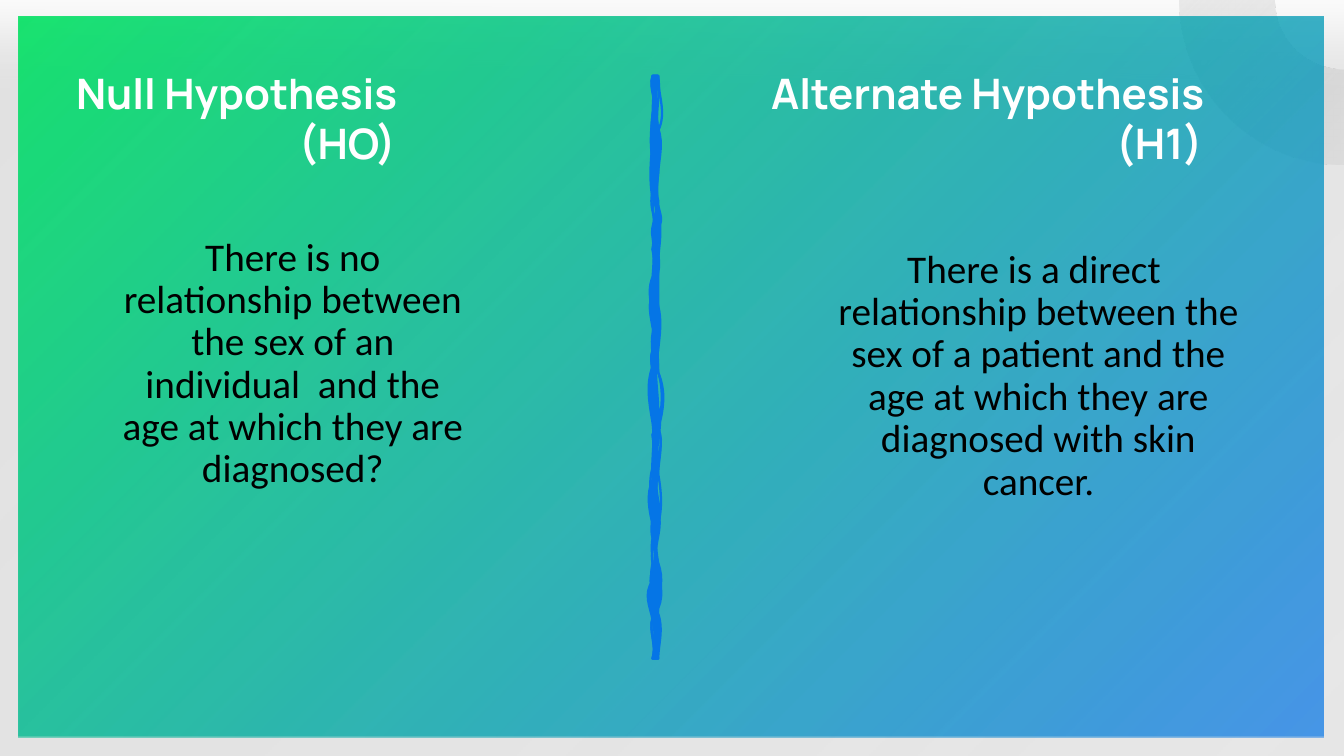
from dataclasses import dataclass

import pptx
import pptx.dml.color
import pptx.enum.shapes
import pptx.enum.text
import pptx.oxml
import pptx.oxml.ns
import pptx.util
from lxml import etree

Inches, Pt = pptx.util.Inches, pptx.util.Pt
qn = pptx.oxml.ns.qn
RGB = pptx.dml.color.RGBColor.from_string
ALIGN = pptx.enum.text.PP_ALIGN
SHAPE = pptx.enum.shapes.MSO_SHAPE

COLORS = {"white": "FFFFFF", "black": "000000", "grey": "BFBFBF",
          "shadow": "7F7F7F", "green": "00E160", "blue": "0575E6"}
FONTS = {
    "heading": {"name": "Manrope", "size": Pt(60), "bold": True},
    "body": {"name": "Calibri", "size": Pt(56), "bold": False},
}
HEADING_TOP, HEADING_HEIGHT = 1.29, 2.12
DIVIDER_LEFT, DIVIDER_TOP = 7.22, 7.23
LENGTH, THICKNESS = 11.56, 0.11
TOP_Y, BOTTOM_Y = 1.5, 13.06


@dataclass
class Stop:
    position: float
    color: str
    opacity: int


@dataclass
class Hypothesis:
    heading: str
    symbol: str
    heading_left: float
    heading_width: float
    symbol_indent: float
    statement: str
    body_box: tuple[float, float, float, float]
    body_indent: float


@dataclass
class Brush:
    """Edges as (end y, first bulge, second bulge), bulges in 1/100 inch."""
    left: list[tuple[float, int, int]]
    right: list[tuple[float, int, int]]
    filled: bool


HYPOTHESES = [
    Hypothesis("Null Hypothesis", "(HO)", 1.41, 7.81, 3.15,
               "There is no relationship between the sex of an "
               "individual  and the age at which they are diagnosed?",
               (2.29, 4.66, 7.04, 7.02), 0),
    Hypothesis("Alternate Hypothesis", "(H1)", 15.2, 9.59, 6,
               "There is a direct  relationship between the sex of a patient "
               "and the age at which they are diagnosed with skin cancer.",
               (15.76, 4.9, 9.18, 4.76), 0.5),
]

BRUSHES = [
    Brush([(2.27, -9, 15), (3.16, -2, -5), (4.17, 15, -10), (4.94, 8, 6),
           (5.83, 8, -3), (6.95, -18, 18), (7.61, -7, 3), (8.62, -17, 15),
           (9.27, 2, 8), (10.16, -9, -3), (10.67, 0, -5), (11.17, 4, -4),
           (11.71, 0, -9), (12.25, 0, 9), (BOTTOM_Y, -9, 10)],
          [(12.06, -12, -2), (11.17, 14, 0), (10.4, -4, -7), (9.39, 11, -12),
           (8.5, 1, 11), (7.38, 7, 12), (6.26, -1, -3), (5.25, -7, -13),
           (4.25, -6, 5), (3.24, -12, 3), (2.59, 0, -4), (TOP_Y, -7, 6)],
          False),
    Brush([(2.27, 4, 0), (2.82, -3, -1), (3.94, -4, -7), (4.71, 18, -7),
           (5.49, 4, 2), (6.61, -16, 8), (7.26, -4, 2), (8.39, -14, -6),
           (9.51, 5, -3), (10.4, -13, -7), (11.52, 11, 3), (12.29, -19, -5),
           (BOTTOM_Y, 5, 8)],
          [(12.17, 1, 11), (11.28, -6, 9), (10.16, -16, 12), (9.27, -6, -4),
           (8.73, 1, -3), (8.07, 3, 7), (6.95, -1, -9), (6.06, 3, 8),
           (5.41, -4, -3), (4.52, 7, -8), (3.97, 14, -2), (3.43, -5, -2),
           (2.54, 2, 11), (TOP_Y, -5, -5)],
          True),
    Brush([(2.27, -9, 11), (3.16, -3, -6), (4.17, 17, 2), (4.94, 5, 3),
           (5.83, 5, 5), (6.95, -16, 11), (7.61, -9, 7), (8.62, -19, 18),
           (9.27, 2, 7), (10.16, 5, -1), (10.67, 1, 2), (11.17, -3, -1),
           (11.71, -4, -4), (12.25, 1, 8), (BOTTOM_Y, -8, 8)],
          [(12.06, -15, -3), (11.17, 3, 12), (10.4, -7, -9), (9.39, 9, 6),
           (8.5, -6, 15), (7.38, 11, 16), (6.26, 0, -4), (5.25, 0, 0),
           (4.25, 0, 10), (3.24, -3, -2), (2.59, 1, -5), (TOP_Y, 18, -1)],
          False),
]


def add_gradient_shape(slide, kind, box: tuple, stops: list[Stop]):
    s = slide.shapes.add_shape(kind, *map(Inches, box))
    s.shadow.inherit = False
    s.line.fill.background()
    s.fill.gradient()
    s.fill.gradient_angle = 315
    for gs, stop in zip(s.fill.gradient_stops, stops):
        gs.position = stop.position
        gs.color.rgb = RGB(COLORS[stop.color])
    for clr, stop in zip(s.element.spPr.iter(qn("a:srgbClr")), stops):
        etree.SubElement(clr, qn("a:alpha"), val=str(stop.opacity * 1000))
    return s


def add_soft_shadow(s) -> None:
    effects = s.element.spPr.find(qn("a:effectLst"))
    shadow = etree.SubElement(effects, qn("a:outerShdw"), blurRad=str(Pt(92)),
                              dist=str(Pt(21)), dir=str(90 * 60000),
                              sx="115000", sy="115000",
                              algn="t", rotWithShape="0")
    clr = etree.SubElement(shadow, qn("a:srgbClr"), val=COLORS["shadow"])
    etree.SubElement(clr, qn("a:alpha"), val="26000")


def add_text_frame(slide, box: tuple):
    tf = slide.shapes.add_textbox(*map(Inches, box)).text_frame
    tf.word_wrap = True
    return tf


def write(p, text: str, font: str, color: str, indent: float = 0) -> None:
    r = p.add_run()
    r.text = text
    for name, value in FONTS[font].items():
        setattr(r.font, name, value)
    r.font.color.rgb = RGB(COLORS[color])
    if indent:
        p._p.get_or_add_pPr().set("marL", str(Inches(indent)))


def add_hypothesis(slide, h: Hypothesis) -> None:
    tf = add_text_frame(slide, (h.heading_left, HEADING_TOP,
                                h.heading_width, HEADING_HEIGHT))
    tf.auto_size = pptx.enum.text.MSO_AUTO_SIZE.SHAPE_TO_FIT_TEXT
    write(tf.paragraphs[0], h.heading, "heading", "white")
    p = tf.add_paragraph()
    p.alignment = ALIGN.CENTER
    write(p, h.symbol, "heading", "white", h.symbol_indent)

    p = add_text_frame(slide, h.body_box).paragraphs[0]
    p.alignment = ALIGN.CENTER
    p.line_spacing = 0.9
    write(p, h.statement, "body", "black", h.body_indent)


def add_point(parent, across: float, y: float) -> None:
    """Place a point in the frame of the divider, which lies on its side."""
    etree.SubElement(parent, qn("a:pt"), x=str(Inches(BOTTOM_Y - y)),
                     y=str(Inches(across)))


def add_edge(path, across: float, y: float, edge: list) -> None:
    for end, first, second in edge:
        curve = etree.SubElement(path, qn("a:cubicBezTo"))
        add_point(curve, across + first / 100, y + (end - y) / 3)
        add_point(curve, across + second / 100, y + (end - y) * 2 / 3)
        add_point(curve, across, end)
        y = end


def add_divider(slide) -> None:
    builder = slide.shapes.build_freeform(0, 0)
    builder.add_line_segments([(Inches(LENGTH), 0),
                               (Inches(LENGTH), Inches(THICKNESS)),
                               (0, Inches(THICKNESS))])
    s = builder.convert_to_shape(Inches(DIVIDER_LEFT), Inches(DIVIDER_TOP))
    s.rotation = 270
    s.shadow.inherit = False
    s.fill.solid()
    s.fill.fore_color.rgb = s.line.color.rgb = RGB(COLORS["blue"])
    s.line.width = Pt(3.25)

    paths = next(s.element.spPr.iter(qn("a:pathLst")))
    paths.remove(paths[0])
    for brush in BRUSHES:
        path = etree.SubElement(paths, qn("a:path"), w=str(Inches(LENGTH)),
                                h=str(Inches(THICKNESS)),
                                fill="norm" if brush.filled else "none")
        add_point(etree.SubElement(path, qn("a:moveTo")), 0, TOP_Y)
        add_edge(path, 0, TOP_Y, brush.left)
        add_point(etree.SubElement(path, qn("a:lnTo")), THICKNESS, BOTTOM_Y)
        add_edge(path, THICKNESS, BOTTOM_Y, brush.right)
        etree.SubElement(path, qn("a:close"))


def main() -> None:
    prs = pptx.Presentation()
    prs.slide_width, prs.slide_height = Inches(26.66), Inches(15)
    slide = prs.slides.add_slide(prs.slide_layouts[6])

    ring = add_gradient_shape(slide, SHAPE.DONUT, (23.4, -3.26, 6.52, 6.52),
                              [Stop(0, "grey", 16), Stop(0.96, "white", 100)])
    ring.adjustments[0] = 0.29
    panel = add_gradient_shape(slide, SHAPE.RECTANGLE, (0.37, 0.33, 25.88, 14.3),
                               [Stop(0, "green", 89), Stop(0.99, "blue", 71)])
    add_soft_shadow(panel)
    for hypothesis in HYPOTHESES:
        add_hypothesis(slide, hypothesis)
    add_divider(slide)
    prs.save("out.pptx")


if __name__ == "__main__":
    main()
